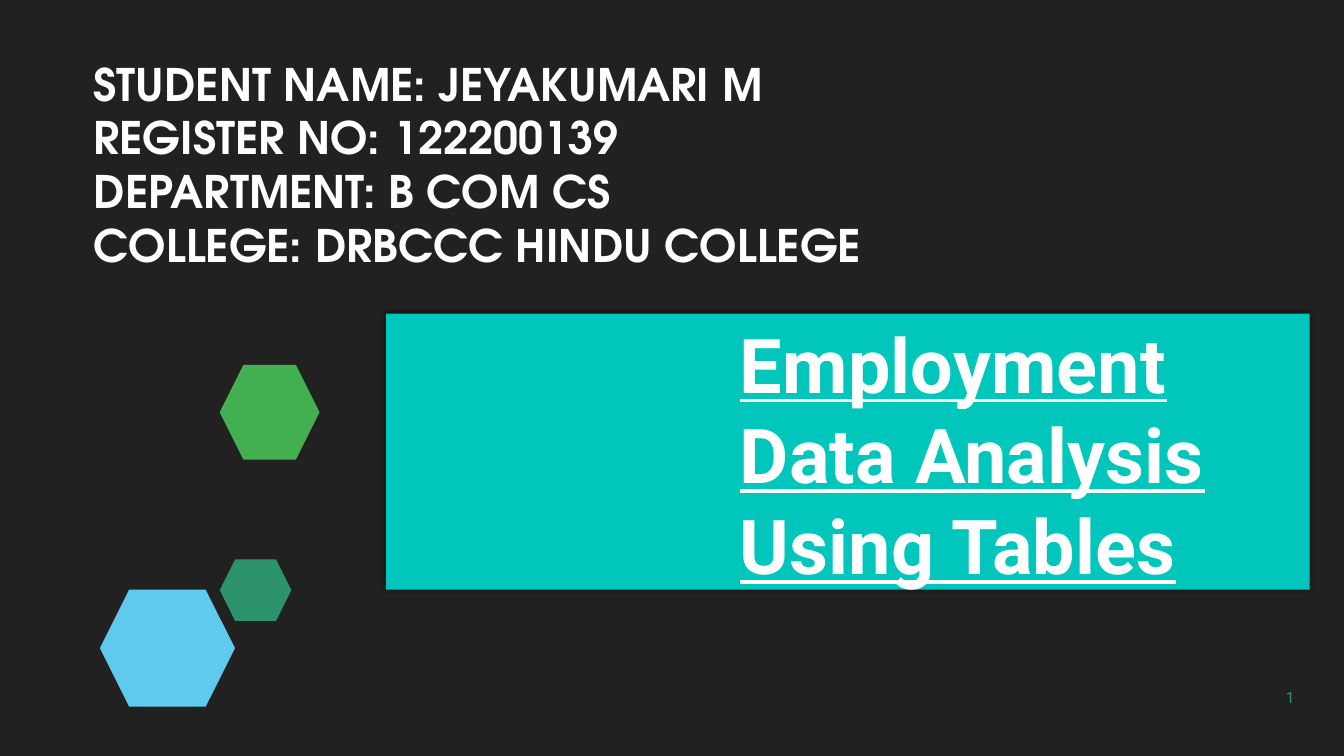
from lxml import etree
from pptx import Presentation
from pptx.dml.color import RGBColor
from pptx.enum.shapes import MSO_SHAPE
from pptx.enum.text import MSO_ANCHOR, PP_ALIGN
from pptx.oxml.ns import qn
from pptx.util import Inches, Pt

HEXAGON, RECTANGLE = MSO_SHAPE.HEXAGON, MSO_SHAPE.RECTANGLE
BOTTOM = MSO_ANCHOR.BOTTOM
LEFT, RIGHT = PP_ALIGN.LEFT, PP_ALIGN.RIGHT

THEME = {
    "background": "212121", "white": "FFFFFF", "teal": "00C6BB",
    "blue": "5FCAEE", "sea": "2D936B", "green": "42AF51",
    "title_size": 54, "details_size": 32, "number_size": 11,
    "body_font": "Roboto", "details_font": "TeX Gyre Adventor",
}

presentation = Presentation()
presentation.slide_width = Inches(13.33)
presentation.slide_height = Inches(7.5)
slide = presentation.slides.add_slide(presentation.slide_layouts[6])
slide.background.fill.solid()
slide.background.fill.fore_color.rgb = RGBColor.from_string(THEME["background"])


def place(left, top, width, height):
    """Turn percentages of the slide's size into lengths."""
    across, down = presentation.slide_width / 100, presentation.slide_height / 100
    return int(left * across), int(top * down), int(width * across), int(height * down)


def add_run(paragraph, text, size, font, color, bold=False, spacing=0):
    run = paragraph.add_run()
    run.text = text
    run.font.size = Pt(THEME[size])
    run.font.name = THEME[font]
    run.font.color.rgb = RGBColor.from_string(THEME[color])
    run.font.bold = bold
    if spacing:
        run.font._element.set("spc", str(spacing))
    return run


# Hexagons: the lower two form a group
pair = slide.shapes.add_group_shape().shapes
hexagons = [
    (pair, "blue", (7.43, 78, 10.05, 15.47)),
    (pair, "sea", (16.35, 74, 5.33, 8.13)),
    (slide.shapes, "green", (16.35, 48.27, 7.43, 12.53)),
]
for parent, color, area in hexagons:
    hexagon = parent.add_shape(HEXAGON, *place(*area))
    hexagon.fill.solid()
    hexagon.fill.fore_color.rgb = RGBColor.from_string(THEME[color])
    hexagon.line.fill.background()
    hexagon.shadow.inherit = False

# Title banner with a soft shadow
banner = slide.shapes.add_shape(RECTANGLE, *place(28.73, 41.47, 68.72, 36.53))
banner.fill.solid()
banner.fill.fore_color.rgb = RGBColor.from_string(THEME["teal"])
banner.line.fill.background()
banner.shadow.inherit = False
effects = banner._element.spPr.find(qn("a:effectLst"))
shadow = etree.SubElement(effects, qn("a:outerShdw"), blurRad=str(Pt(4)), dist="0")
black = etree.SubElement(shadow, qn("a:srgbClr"), val="000000")
etree.SubElement(black, qn("a:alpha"), val="60000")

# Slide number box
number_box = slide.shapes.add_textbox(*place(87.62, 86.27, 8.7, 7.2))

# Text of the banner and the slide number
for shape, inset, align, indent, before in [
    (banner, 0.02, LEFT, 3.51, 1.3),
    (number_box, 0.01, RIGHT, 0.04, 0.6),
]:
    frame = shape.text_frame
    frame.word_wrap = True
    frame.vertical_anchor = BOTTOM
    frame.margin_left = frame.margin_right = frame.margin_bottom = 0
    frame.margin_top = Inches(inset)
    paragraph = frame.paragraphs[0]
    paragraph.alignment = align
    paragraph.space_before = Pt(before)
    paragraph._p.get_or_add_pPr().set("marL", str(Inches(indent)))

title = add_run(banner.text_frame.paragraphs[0], "Employment Data Analysis Using Tables",
                "title_size", "body_font", "white", bold=True, spacing=10)
title.font.underline = True
add_run(number_box.text_frame.paragraphs[0], "1",
        "number_size", "body_font", "sea", spacing=10)

# Student details
details = slide.shapes.add_textbox(*place(6.23, 6.8, 76.9, 37.2)).text_frame
details.word_wrap = True
lines = [
    "STUDENT NAME: JEYAKUMARI M",
    "REGISTER NO: 122200139",
    "DEPARTMENT: B COM CS",
    "COLLEGE: DRBCCC HINDU COLLEGE",
]
for index, line in enumerate(lines):
    paragraph = details.add_paragraph() if index else details.paragraphs[0]
    add_run(paragraph, line, "details_size", "details_font", "white", bold=True)

presentation.save("out.pptx")
